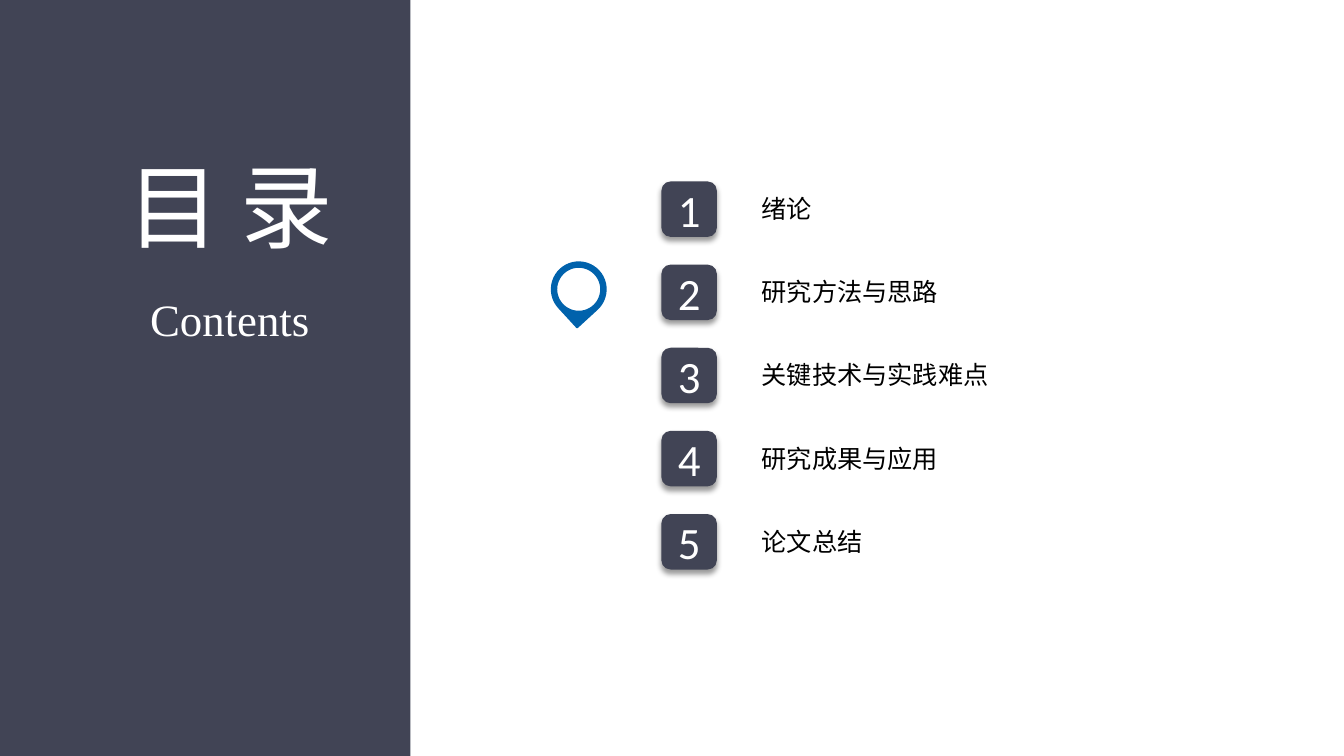
from lxml.etree import SubElement
from pptx import Presentation
from pptx.dml.color import RGBColor
from pptx.enum.shapes import MSO_SHAPE
from pptx.enum.text import MSO_ANCHOR, MSO_AUTO_SIZE, PP_ALIGN
from pptx.oxml.ns import qn
from pptx.util import Inches, Pt

COLORS = {"slate": "414455", "blue": "0062AC", "white": "FFFFFF", "black": "000000"}
CJK_FONT = "Noto Sans CJK SC"
CHAPTERS = ["绪论", "研究方法与思路", "关键技术与实践难点", "研究成果与应用", "论文总结"]
ROW_STEP = 0.825


def color(name):
    return RGBColor.from_string(COLORS[name])


def write(frame, text, size, font_name, color_name):
    paragraph = frame.paragraphs[0]
    paragraph.alignment = PP_ALIGN.CENTER
    run = paragraph.add_run()
    run.text = text
    run.font.size = Pt(size)
    run.font.name = font_name
    run.font.color.rgb = color(color_name)
    SubElement(run.font._element, qn("a:ea"), typeface=font_name)


def add_label(slide, box, text, size, font_name, color_name):
    frame = slide.shapes.add_textbox(*map(Inches, box)).text_frame
    frame.word_wrap = False
    frame.auto_size = MSO_AUTO_SIZE.SHAPE_TO_FIT_TEXT
    write(frame, text, size, font_name, color_name)


def add_block(shapes, preset, box, fill, line=None):
    block = shapes.add_shape(preset, *map(Inches, box))
    block.shadow.inherit = False
    block.fill.solid()
    block.fill.fore_color.rgb = color(fill)
    if line:
        block.line.color.rgb = color(line)
        block.line.width = Pt(1)
    else:
        block.line.fill.background()
    return block


def add_drop_shadow(block):
    effects = block._element.spPr.find(qn("a:effectLst"))
    shadow = SubElement(effects, qn("a:outerShdw"), blurRad=str(Pt(4)), dist=str(Pt(3)),
                        dir="5400000", algn="t", rotWithShape="0")
    shade = SubElement(shadow, qn("a:srgbClr"), val=COLORS["black"])
    SubElement(shade, qn("a:alpha"), val="40000")


def add_chapter(slide, index, title):
    offset = index * ROW_STEP
    badge = add_block(slide.shapes, MSO_SHAPE.ROUNDED_RECTANGLE,
                      (6.56, 1.8 + offset, 0.55, 0.55), "slate")
    add_drop_shadow(badge)
    badge.text_frame.vertical_anchor = MSO_ANCHOR.MIDDLE
    write(badge.text_frame, str(index + 1), 32, "Calibri", "white")
    title_width = 0.21 + 0.25 * len(title)
    add_label(slide, (7.45, 1.87 + offset, title_width, 0.4), title, 18, CJK_FONT, "black")


def add_location_pin(slide):
    pin = slide.shapes.add_group_shape()
    drop = add_block(pin.shapes, MSO_SHAPE.TEAR, (5.47, 2.6, 0.54, 0.54), "blue", "blue")
    drop.rotation = 137.5
    add_block(pin.shapes, MSO_SHAPE.OVAL, (5.52, 2.65, 0.44, 0.44), "white", "blue")


def main():
    deck = Presentation()
    deck.slide_width, deck.slide_height = Inches(13.33), Inches(7.5)
    slide = deck.slides.add_slide(deck.slide_layouts[6])
    for index, title in enumerate(CHAPTERS):
        add_chapter(slide, index, title)
    add_block(slide.shapes, MSO_SHAPE.RECTANGLE, (0, 0, 4.07, 7.5), "slate")
    add_label(slide, (1.02, 1.43, 2.52, 1.21), "目 录", 66, CJK_FONT, "white")
    add_label(slide, (1.38, 2.84, 1.8, 0.64), "Contents", 32, "Times New Roman", "white")
    add_location_pin(slide)
    deck.save("out.pptx")


if __name__ == "__main__":
    main()
